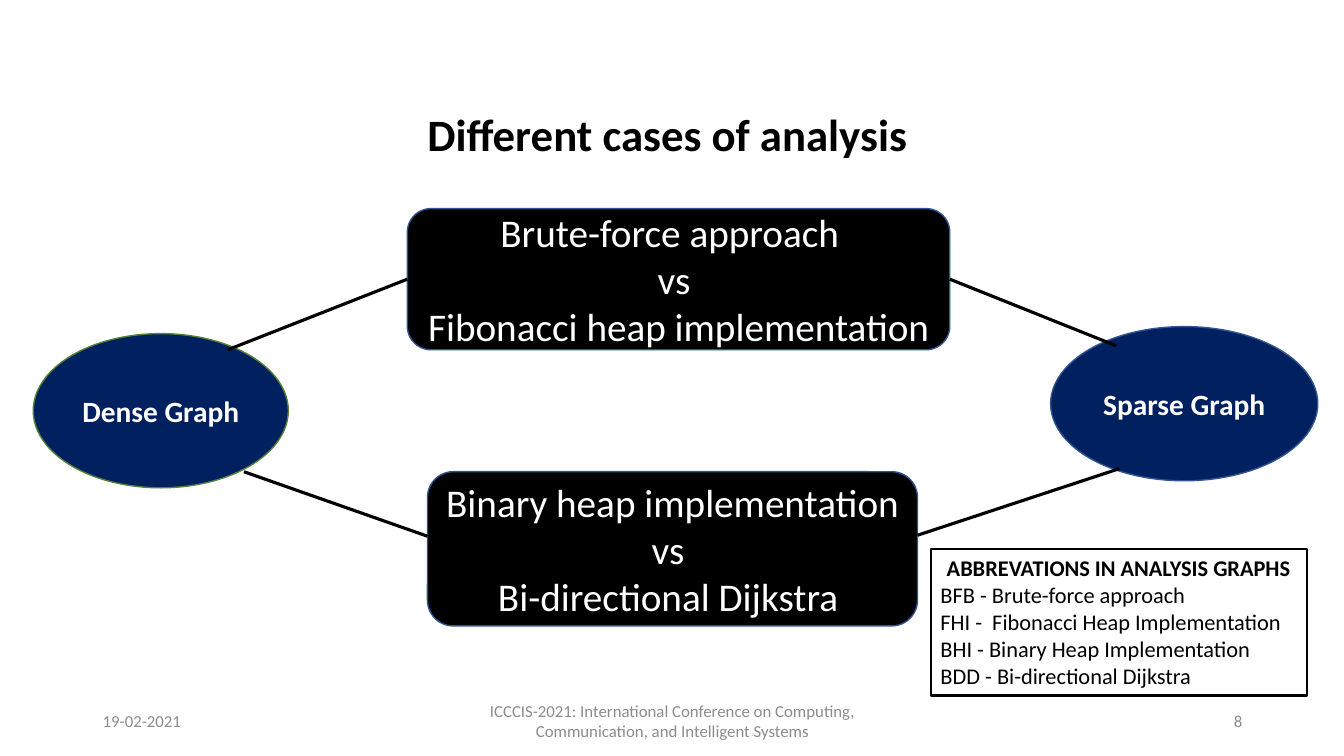
from dataclasses import dataclass

from lxml.etree import SubElement
from pptx import Presentation
from pptx.dml.color import RGBColor
from pptx.enum.shapes import MSO_CONNECTOR, MSO_SHAPE
from pptx.enum.text import MSO_ANCHOR, PP_ALIGN
from pptx.oxml.ns import qn
from pptx.shapes.autoshape import Shape
from pptx.slide import Slide
from pptx.util import Inches, Pt

FONT = "Calibri"
BLACK = RGBColor(0x00, 0x00, 0x00)
WHITE = RGBColor(0xFF, 0xFF, 0xFF)
GREY = RGBColor(0x8C, 0x8C, 0x8C)
NAVY = RGBColor(0x00, 0x20, 0x60)
BLUE = RGBColor(0x32, 0x54, 0x91)
GREEN = RGBColor(0x53, 0x81, 0x35)


@dataclass(frozen=True)
class Box:
    left: float
    top: float
    width: float
    height: float


@dataclass(frozen=True)
class TextStyle:
    size: float
    color: RGBColor
    bold: bool = False
    align: PP_ALIGN = PP_ALIGN.CENTER
    anchor: MSO_ANCHOR = MSO_ANCHOR.MIDDLE


@dataclass(frozen=True)
class Node:
    kind: MSO_SHAPE
    box: Box
    lines: tuple[str, ...]
    style: TextStyle
    fill: RGBColor | None
    outline: RGBColor
    outline_width: float = 1


@dataclass(frozen=True)
class Label:
    box: Box
    text: str
    style: TextStyle


@dataclass(frozen=True)
class Link:
    start: tuple[float, float]
    end: tuple[float, float]


COMPARISON = TextStyle(28, WHITE)
GRAPH_TYPE = TextStyle(21, WHITE, bold=True)
HEADING = TextStyle(32, BLACK, bold=True, anchor=MSO_ANCHOR.TOP)
LEGEND = TextStyle(16, BLACK, align=PP_ALIGN.LEFT, anchor=MSO_ANCHOR.TOP)

LABELS = (
    Label(Box(0.92, 6.95, 3, 0.4), "19-02-2021",
          TextStyle(12, GREY, align=PP_ALIGN.LEFT)),
    Label(Box(4.42, 6.95, 4.5, 0.4),
          "ICCCIS-2021: International Conference on Computing, "
          "Communication, and Intelligent Systems", TextStyle(12, GREY)),
    Label(Box(9.42, 6.95, 3, 0.4), "8",
          TextStyle(12, GREY, align=PP_ALIGN.RIGHT)),
    Label(Box(3.98, 1.01, 5.38, 0.64), "Different cases of analysis ", HEADING),
)

NODES = (
    Node(MSO_SHAPE.ROUNDED_RECTANGLE, Box(4.04, 2.07, 5.38, 1.4),
         ("Brute-force approach  ", "vs ", "Fibonacci heap implementation "),
         COMPARISON, BLACK, BLUE),
    Node(MSO_SHAPE.ROUNDED_RECTANGLE, Box(4.24, 4.68, 4.86, 1.53),
         ("Binary heap implementation ", "vs ", "Bi-directional Dijkstra "),
         COMPARISON, BLACK, BLUE),
    Node(MSO_SHAPE.OVAL, Box(0.33, 3.31, 2.53, 1.53),
         ("Dense Graph",), GRAPH_TYPE, NAVY, GREEN),
    Node(MSO_SHAPE.OVAL, Box(10.42, 3.24, 2.65, 1.53),
         ("Sparse Graph",), GRAPH_TYPE, NAVY, BLUE),
)

ABBREVIATIONS = Node(
    MSO_SHAPE.RECTANGLE, Box(9.23, 5.45, 3.73, 1.45),
    ("ABBREVATIONS IN ANALYSIS GRAPHS",
     "BFB - Brute-force approach",
     "FHI -  Fibonacci Heap Implementation",
     "BHI - Binary Heap Implementation",
     "BDD - Bi-directional Dijkstra"),
    LEGEND, None, BLACK, 1.5)

LINKS = (
    Link((2.26, 3.47), (4.04, 2.77)),
    Link((2.42, 4.68), (4.24, 5.32)),
    Link((9.42, 2.77), (11.07, 3.43)),
    Link((9.1, 5.31), (11.1, 4.65)),
)


def inches(box: Box) -> tuple[Inches, ...]:
    return tuple(map(Inches, (box.left, box.top, box.width, box.height)))


def write(shape: Shape, lines: tuple[str, ...], style: TextStyle) -> None:
    frame = shape.text_frame
    frame.word_wrap = True
    frame.vertical_anchor = style.anchor
    frame.text = "\n".join(lines)
    for paragraph in frame.paragraphs:
        paragraph.alignment = style.align
        font = paragraph.font
        font.name, font.size, font.bold = FONT, Pt(style.size), style.bold
        font.color.rgb = style.color


def add_label(slide: Slide, label: Label) -> None:
    write(slide.shapes.add_textbox(*inches(label.box)), (label.text,), label.style)


def add_node(slide: Slide, node: Node) -> Shape:
    shape = slide.shapes.add_shape(node.kind, *inches(node.box))
    shape.shadow.inherit = False
    if node.fill is None:
        shape.fill.background()
    else:
        shape.fill.solid()
        shape.fill.fore_color.rgb = node.fill
    shape.line.color.rgb = node.outline
    shape.line.width = Pt(node.outline_width)
    write(shape, node.lines, node.style)
    return shape


def add_link(slide: Slide, link: Link) -> None:
    connector = slide.shapes.add_connector(
        MSO_CONNECTOR.STRAIGHT, *map(Inches, link.start + link.end))
    connector.line.color.rgb = BLACK
    connector.line.width = Pt(2.25)
    SubElement(connector._element.spPr, qn("a:effectLst"))


def add_abbreviations(slide: Slide) -> None:
    legend_title = add_node(slide, ABBREVIATIONS).text_frame.paragraphs[0]
    legend_title.alignment = PP_ALIGN.CENTER
    legend_title.font.bold = True


def main() -> None:
    presentation = Presentation()
    presentation.slide_width = Inches(13.33)
    presentation.slide_height = Inches(7.5)
    slide = presentation.slides.add_slide(presentation.slide_layouts[6])
    for label in LABELS:
        add_label(slide, label)
    for node in NODES:
        add_node(slide, node)
    for link in LINKS:
        add_link(slide, link)
    add_abbreviations(slide)
    presentation.save("out.pptx")


if __name__ == "__main__":
    main()
